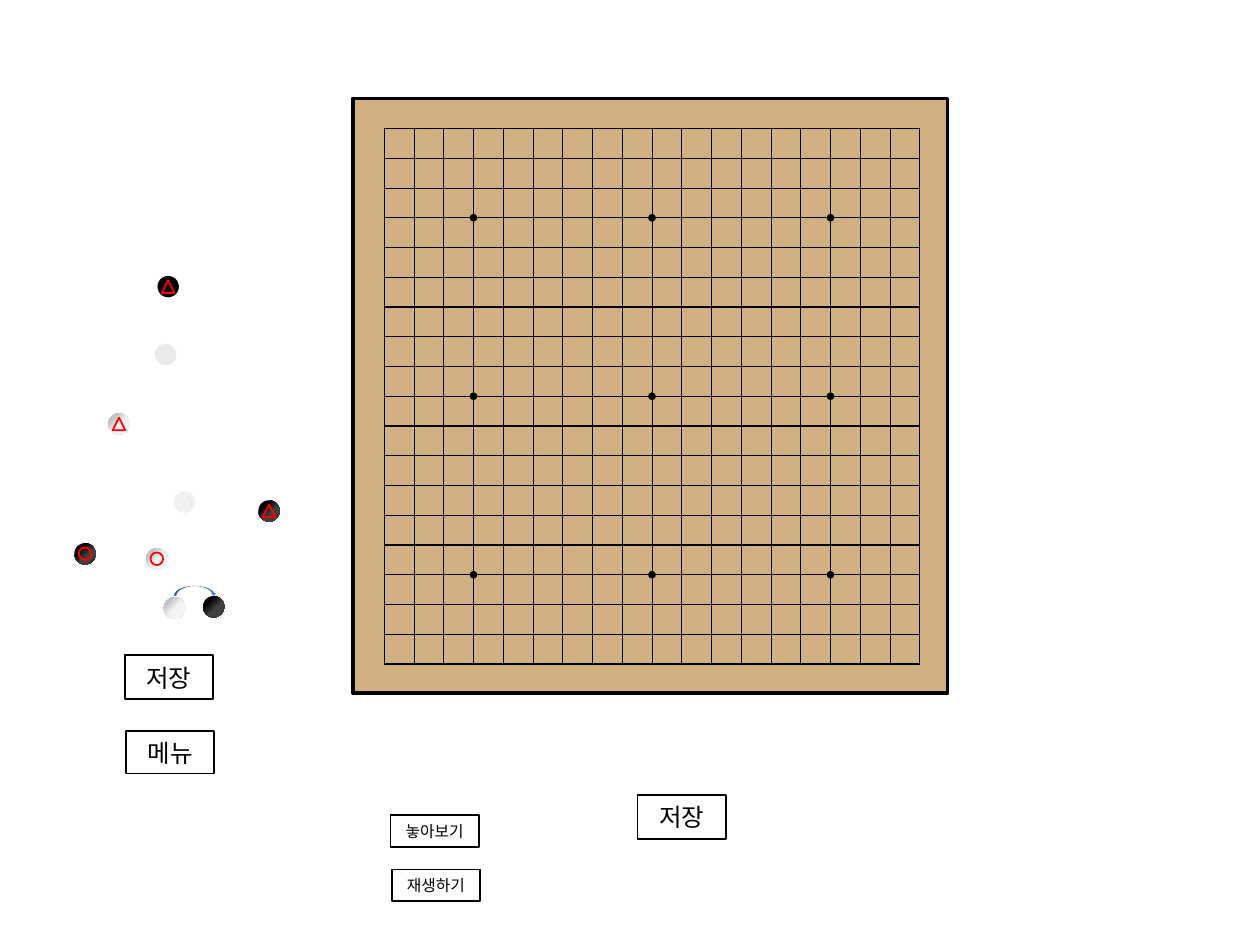
from lxml import etree
from pptx import Presentation
from pptx.dml.color import RGBColor
from pptx.enum.shapes import MSO_SHAPE
from pptx.enum.text import MSO_ANCHOR, MSO_AUTO_SIZE, PP_ALIGN
from pptx.oxml import parse_xml
from pptx.oxml.ns import nsdecls, qn
from pptx.util import Inches, Pt

FONT = "Noto Sans CJK KR"
COLORS = {
    "ink": "000000", "wood": "D0AF82", "mark": "FF0000", "arrow": "4F81BD",
    "ghost": "EAEAEA", "pale": "F0F0F0",
}
WHITE_STOPS = [(0, "F6F9FC"), (49, "F0F0F0"), (79, "C0C0C0"), (100, "CAD9EB")]
BLACK_STOPS = [(0, "000000"), (18, "404040"), (41, "404040"), (54, "262626"), (73, "000000")]
DEEP_STOPS = [(12, "000000")] + BLACK_STOPS[1:]
STONE = 0.17
MARK = 0.1


def add_preset(shapes, kind, left, top, width, height, fill=None, line=None, weight=1):
    """Add a preset shape with a plain fill and outline, either may be absent."""
    shape = shapes.add_shape(kind, Inches(left), Inches(top), Inches(width), Inches(height))
    shape.shadow.inherit = False
    if fill:
        shape.fill.solid()
        shape.fill.fore_color.rgb = RGBColor.from_string(COLORS[fill])
    else:
        shape.fill.background()
    if line:
        shape.line.color.rgb = RGBColor.from_string(COLORS[line])
        shape.line.width = Pt(weight)
    else:
        shape.line.fill.background()
    return shape


def set_radial_fill(shape, stops):
    """Replace an absent fill with a circular gradient centred on a corner."""
    stop_xml = "".join(
        f'<a:gs pos="{position * 1000}"><a:srgbClr val="{color}"/></a:gs>'
        for position, color in stops)
    gradient = parse_xml(
        f'<a:gradFill {nsdecls("a")} rotWithShape="1"><a:gsLst>{stop_xml}</a:gsLst>'
        '<a:path path="circle"><a:fillToRect l="100000" t="100000"/></a:path></a:gradFill>')
    properties = shape.element.spPr
    properties.replace(properties.find(qn("a:noFill")), gradient)


def add_board(slide, left, top, size):
    """Draw the go board: wooden base, 19 by 19 lines and nine star points."""
    shapes = slide.shapes.add_group_shape().shapes
    add_preset(shapes, MSO_SHAPE.RECTANGLE, left, top, size, size, "wood", "ink", 2)
    grid_left, grid_top, grid = left + 0.25, top + 0.24, 4.25
    step = grid / 18
    middle = grid_left + grid / 2
    # Each direction leaves out one band, which its neighbours enclose.
    for rotation, skipped in ((0, 16), (90, 1)):
        frame = add_preset(shapes, MSO_SHAPE.RECTANGLE, grid_left, grid_top,
                           grid, grid, None, "ink", 0.5)
        frame.rotation = rotation
        for index in range(18):
            if index == skipped:
                continue
            if rotation:
                band_left = grid_left + (index + 0.5) * step - grid / 2
                band_top = grid_top + (grid - step) / 2
            else:
                band_left, band_top = middle - grid / 2, grid_top + index * step
            band = add_preset(shapes, MSO_SHAPE.RECTANGLE, band_left, band_top,
                              grid, step, None, "ink", 0.5)
            band.rotation = rotation
    dot = 0.06
    for row in (3, 9, 15):
        for column in (3, 9, 15):
            add_preset(shapes, MSO_SHAPE.OVAL, grid_left + column * step - dot / 2,
                       grid_top + row * step - dot / 2, dot, dot, "ink")


def add_stone(slide, left, top, fill=None, stops=None, mark=None):
    """Draw a flat or shaded stone, grouped with its red mark if it has one."""
    shapes = slide.shapes.add_group_shape().shapes if mark else slide.shapes
    stone = add_preset(shapes, MSO_SHAPE.OVAL, left, top, STONE, STONE, fill)
    if stops:
        stone.rotation = 180
        set_radial_fill(stone, stops)
    if mark:
        inset = (STONE - MARK) / 2
        add_preset(shapes, mark, left + inset, top + inset, MARK, MARK, None, "mark")


def add_button(slide, left, top, height, text, size):
    """Draw an outlined button with a centred label."""
    button = add_preset(slide.shapes, MSO_SHAPE.RECTANGLE, left, top, 0.7, height, None, "ink")
    frame = button.text_frame
    frame.word_wrap = True
    frame.auto_size = MSO_AUTO_SIZE.SHAPE_TO_FIT_TEXT
    frame.vertical_anchor = MSO_ANCHOR.MIDDLE
    paragraph = frame.paragraphs[0]
    paragraph.text = text
    paragraph.alignment = PP_ALIGN.CENTER
    paragraph.font.size = Pt(size)
    paragraph.font.name = FONT
    paragraph.font.color.rgb = RGBColor.from_string(COLORS["ink"])
    for properties in button.element.iter(qn("a:defRPr")):
        etree.SubElement(properties, qn("a:ea")).set("typeface", FONT)


def add_stones(slide):
    """Place the stones and the swap arrow left of the board."""
    triangle, circle = MSO_SHAPE.ISOSCELES_TRIANGLE, MSO_SHAPE.OVAL
    for left, top, fill, stops, mark in (
        (1.25, 2.19, "ink", None, triangle),
        (1.23, 2.73, "ghost", None, None),
        (0.86, 3.28, None, WHITE_STOPS, triangle),
        (1.38, 3.9, "pale", None, None),
        (1.16, 4.35, None, WHITE_STOPS, circle),
        (0.59, 4.31, None, DEEP_STOPS, circle),
        (2.05, 3.97, None, BLACK_STOPS, triangle),
        (1.61, 4.73, None, BLACK_STOPS, None),
        (1.3, 4.74, None, WHITE_STOPS, None),
    ):
        add_stone(slide, left, top, fill, stops, mark)
    add_preset(slide.shapes, MSO_SHAPE.ARC, 1.44, 3.94, 0.08, 0.15, None, "ghost", 0.75)
    add_preset(slide.shapes, MSO_SHAPE.CURVED_DOWN_ARROW, 1.38, 4.65, 0.34, 0.08, "arrow")


def add_buttons(slide):
    """Place the five buttons."""
    for left, top, height, text, size in (
        (0.99, 5.2, 0.35, "저장", 14),
        (1, 5.8, 0.34, "메뉴", 14),
        (5.06, 6.31, 0.35, "저장", 14),
        (3.1, 6.47, 0.25, "놓아보기", 9),
        (3.11, 6.9, 0.25, "재생하기", 9),
    ):
        add_button(slide, left, top, height, text, size)


presentation = Presentation()
presentation.slide_width, presentation.slide_height = Inches(10), Inches(7.5)
slide = presentation.slides.add_slide(presentation.slide_layouts[6])
add_board(slide, 2.8, 0.78, 4.72)
add_stones(slide)
add_buttons(slide)
presentation.save("out.pptx")
